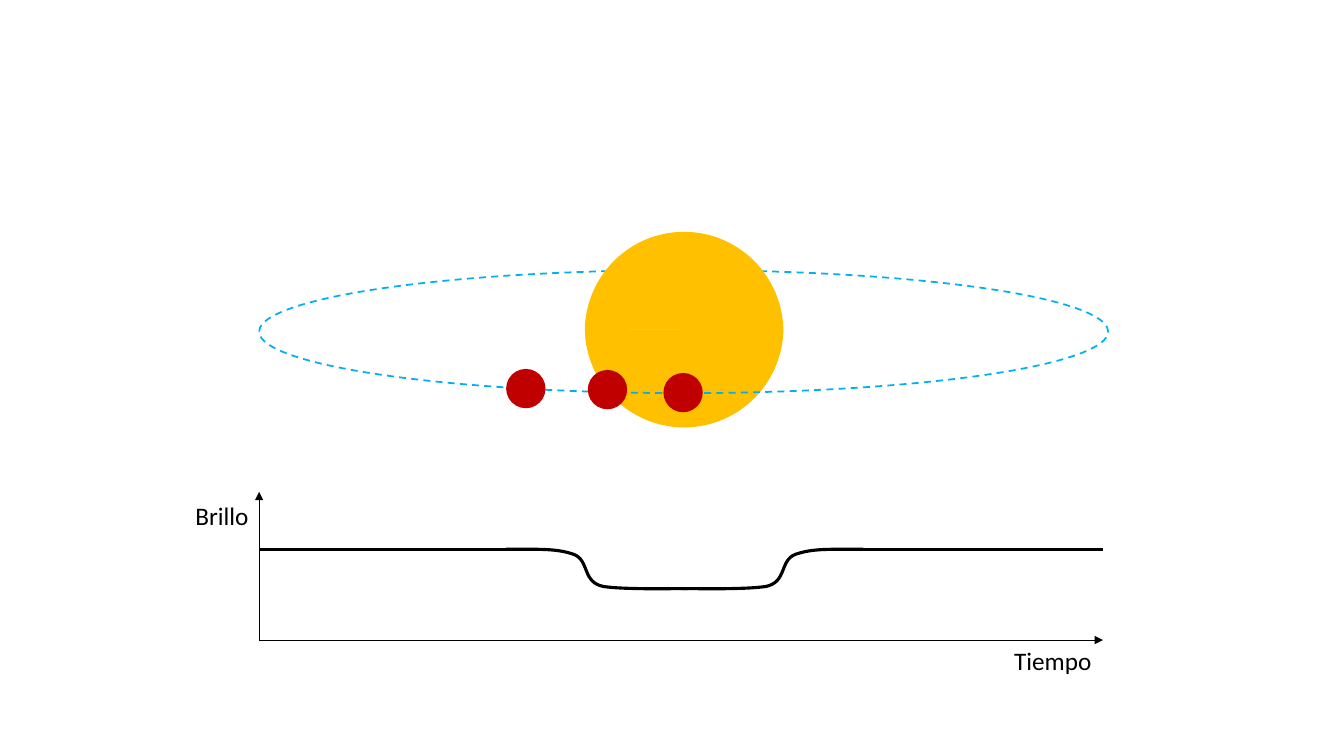
from pptx import Presentation
from pptx.dml.color import RGBColor
from pptx.enum.dml import MSO_LINE
from pptx.enum.shapes import MSO_CONNECTOR, MSO_SHAPE
from pptx.enum.text import MSO_AUTO_SIZE
from pptx.oxml.ns import qn
from pptx.util import Inches, Pt
from lxml.etree import SubElement

BLACK = RGBColor(0, 0, 0)
SUN = RGBColor(0xFF, 0xC0, 0x00)
ORBIT = RGBColor(0x00, 0xB0, 0xF0)
PLANET = RGBColor(0xC0, 0x00, 0x00)

LEFT, RIGHT = 2.57, 10.94   # time axis ends
BASE, TOP = 6.35, 4.88      # brightness axis ends
BRIGHT = 5.45               # level outside the transit
DIP_START, DIP_END = 5.02, 8.49
MIRROR = 13.58              # x plus mirrored x
DIP = [
    ((5.02, 5.45), (5.34, 5.45), (5.52, 5.44), (5.69, 5.5)),
    ((5.69, 5.5), (5.85, 5.56), (5.77, 5.78), (5.99, 5.82)),
    ((5.99, 5.82), (6.21, 5.85), (6.64, 5.84), (6.82, 5.84)),
]
STEPS = 16


def set_line(shape, color, width):
    shape.line.color.rgb = color
    shape.line.width = Pt(width)


def add_form(slide, kind, box, fill=None, line=None):
    shape = slide.shapes.add_shape(kind, *map(Inches, box))
    shape.shadow.inherit = False
    if fill is None:
        shape.fill.background()
    else:
        shape.fill.solid()
        shape.fill.fore_color.rgb = fill
    if line is None:
        shape.line.fill.background()
    else:
        set_line(shape, line, 1.25)
        shape.line.dash_style = MSO_LINE.DASH
    return shape


def add_half(slide, top, turn=0):
    half = add_form(slide, MSO_SHAPE.CHORD, (5.8, top, 1.97, 1.98), SUN)
    half.adjustments[0] = 108.79
    half.adjustments[1] = 215.5
    half.rotation = turn


def add_rule(slide, start, end, width, arrow=False):
    rule = slide.shapes.add_connector(
        MSO_CONNECTOR.STRAIGHT, *map(Inches, start + end))
    set_line(rule, BLACK, width)
    props = rule._element.spPr
    SubElement(props, qn("a:effectLst"))
    if arrow:
        SubElement(props.find(qn("a:ln")), qn("a:tailEnd"), type="triangle")


def bezier(curve, t):
    weights = ((1 - t) ** 3, 3 * t * (1 - t) ** 2, 3 * t * t * (1 - t), t ** 3)
    return tuple(sum(w * p[axis] for w, p in zip(weights, curve))
                 for axis in (0, 1))


def add_dip(slide, flip=False):
    points = [DIP[0][0]] + [bezier(curve, n / STEPS)
                            for curve in DIP for n in range(1, STEPS + 1)]
    if flip:
        points = [(MIRROR - x, y) for x, y in points]
    first, *rest = [(Inches(x), Inches(y)) for x, y in points]
    form = slide.shapes.build_freeform(*first)
    form.add_line_segments(rest, close=False)
    curve = form.convert_to_shape()
    curve.shadow.inherit = False
    curve.fill.background()
    set_line(curve, BLACK, 2.25)


def add_text(slide, text, box, size=18, font="Calibri", color=BLACK):
    frame = slide.shapes.add_textbox(*map(Inches, box)).text_frame
    frame.word_wrap = False
    frame.auto_size = MSO_AUTO_SIZE.SHAPE_TO_FIT_TEXT
    run = frame.paragraphs[0].add_run()
    run.text = text
    run.font.size = Pt(size)
    run.font.name = font
    run.font.color.rgb = color


def main():
    deck = Presentation()
    deck.slide_width, deck.slide_height = Inches(13.33), Inches(7.5)
    slide = deck.slides.add_slide(deck.slide_layouts[6])

    # Star halves behind and in front of the orbit
    add_half(slide, 2.26, turn=180)
    add_form(slide, MSO_SHAPE.OVAL, (LEFT, 2.68, 8.42, 1.22), line=ORBIT)
    add_half(slide, 2.3)

    # Planet at three moments
    for x, y in ((5.02, 3.66), (5.83, 3.67), (6.58, 3.7)):
        add_form(slide, MSO_SHAPE.OVAL, (x, y, 0.39, 0.39), PLANET)

    # Axes
    for end in ((LEFT, TOP), (RIGHT, BASE)):
        add_rule(slide, (LEFT, BASE), end, 0.75, arrow=True)
    add_text(slide, "Brillo", (1.84, 4.91, 0.73, 0.4))

    # Light curve
    add_rule(slide, (LEFT, BRIGHT), (DIP_START, BRIGHT), 2.25)
    add_dip(slide)
    add_dip(slide, flip=True)
    add_rule(slide, (DIP_END, BRIGHT), (RIGHT, BRIGHT), 2.25)
    add_text(slide, "Tiempo", (9.96, BASE, 0.98, 0.4))

    deck.save("out.pptx")


main()
